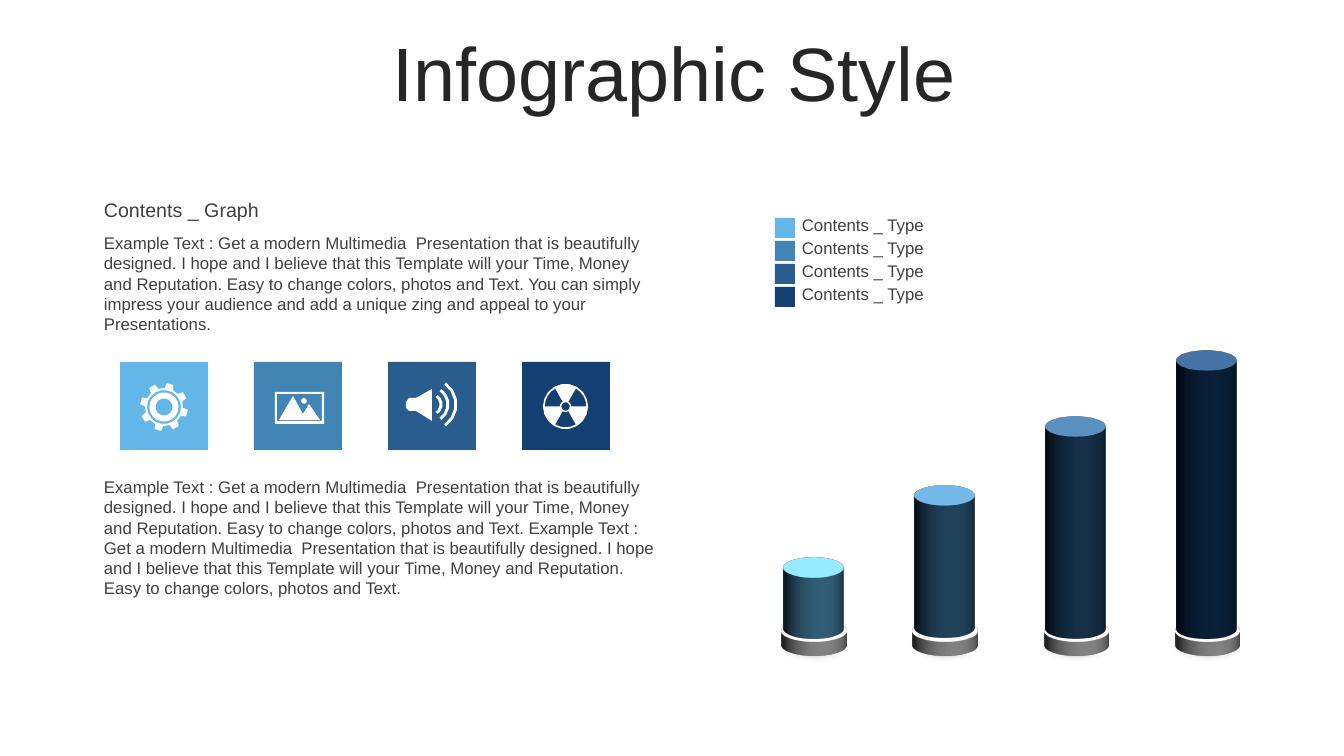
"""Build the infographic slide with four columns, four icon tiles and a legend."""
import math
import pptx
import pptx.dml.color
import pptx.enum.shapes
import pptx.enum.text
import pptx.oxml.ns
import pptx.util
from lxml import etree

PX = 9071
MSO = pptx.enum.shapes.MSO_SHAPE
ALIGN = pptx.enum.text.PP_ALIGN
ANCHOR = pptx.enum.text.MSO_ANCHOR
RGB = pptx.dml.color.RGBColor.from_string
qn = pptx.oxml.ns.qn

HUES = {
    "title": "262626", "body": "404040", "white": "FFFFFF",
    "sky": "62B7E8", "blue": "4185B5", "steel": "285D8D", "navy": "134070",
    "shade": "808080", "core": "595959",
}
TILES = ["sky", "blue", "steel", "navy"]

deck = pptx.Presentation()
deck.slide_width = 1344 * PX
deck.slide_height = 756 * PX
slide = deck.slides.add_slide(deck.slide_layouts[6])
shapes = slide.shapes


def text(words, box, size, hue="body", align=ALIGN.LEFT, anchor=ANCHOR.TOP):
    frame = shapes.add_textbox(*[n * PX for n in box]).text_frame
    frame.word_wrap = True
    frame.vertical_anchor = anchor
    para = frame.paragraphs[0]
    para.alignment = align
    run = para.add_run()
    run.text = words
    run.font.name = "Arial"
    run.font.size = pptx.util.Pt(size)
    run.font.color.rgb = RGB(HUES[hue])
    return para


def arc(x, y, r, start=0, end=360):
    steps = max(4, abs(end - start) // 20)
    turns = [math.radians(start + (end - start) * n / steps)
             for n in range(steps + 1)]
    return [(x + r * math.cos(t), y + r * math.sin(t)) for t in turns]


title = text("Infographic Style", (36, 37, 1276, 80), 54, "title",
             ALIGN.CENTER, ANCHOR.MIDDLE)
title.line_spacing = 0.9

parts = []
for n, mid in enumerate([568, 496, 427, 361]):
    left = 784 + 131 * n
    parts.append((MSO.OVAL, (left - 16, 633, 94, 31), "shade", 0, 11))
    if n:
        parts.append((MSO.OVAL, (left - 10, 633, 80, 25), "core", 0, 6))
    parts += [
        (MSO.OVAL, (left - 2, 599, 64, 64), "white", 15, 0),
        (MSO.OVAL, (left, mid - 30, 60, 60), TILES[n],
         round((628 - mid) / 0.94), 0),
    ]
for n, hue in enumerate(TILES):
    parts += [
        (MSO.RECTANGLE, (120 + 134 * n, 362, 88, 88), hue, 0, 0),
        (MSO.RECTANGLE, (775, 218 + 23 * n, 20, 20), hue, 0, 0),
    ]
    text("Contents _ Type", (792, 210 + 23 * n, 144, 30), 12,
         anchor=ANCHOR.MIDDLE)

for kind, box, hue, deep, soft in parts:
    shape = shapes.add_shape(kind, *[n * PX for n in box])
    shape.shadow.inherit = False
    shape.line.fill.background()
    shape.fill.solid()
    shape.fill.fore_color.rgb = RGB(HUES[hue])
    props = shape._element.spPr
    if soft:
        etree.SubElement(props.find(qn("a:effectLst")), qn("a:softEdge"),
                         rad=str(soft * PX))
    if deep:
        scene = etree.SubElement(props, qn("a:scene3d"))
        view = etree.SubElement(scene, qn("a:camera"), prst="orthographicFront")
        etree.SubElement(view, qn("a:rot"), lat="17390000", lon="0", rev="0")
        etree.SubElement(scene, qn("a:lightRig"), rig="threePt", dir="t")
        etree.SubElement(props, qn("a:sp3d"), extrusionH=str(deep * PX))

intro = ("Example Text : Get a modern Multimedia  Presentation that is "
         "beautifully designed. I hope and I believe that this Template will "
         "your Time, Money and Reputation. Easy to change colors, photos and "
         "Text.")
text("Contents _ Graph", (94, 193, 578, 34), 14)
text(intro + " You can simply impress your audience and add a unique zing and "
     "appeal to your Presentations.", (94, 228, 578, 112), 12)
text(intro + " " + intro, (94, 472, 578, 132), 12)

teeth = []
for n in range(8):
    for r, turn in [(19, -13), (24, -8), (24, 8), (19, 13)]:
        t = math.radians(45 * n - 75 + turn)
        teeth.append((164 + r * math.cos(t), 407 + r * math.sin(t)))
gear = [teeth] + [arc(164, 407, r) for r in (17, 14.6, 8.5)]

photo = [
    [(275, 392), (324, 392), (324, 424), (275, 424)],
    [(277, 394), (322, 394), (322, 421), (277, 421)],
    [(293, 396), (303, 414), (309, 404), (320, 420), (279, 420)],
    arc(304, 401, 2.8),
]

sound = [[(432, 389), (432, 421), (416, 411), (409, 411), (406, 408),
          (406, 402), (409, 398), (416, 398)]]
for r in (12, 19, 27):
    sound.append(arc(430.5, 404.5, r, -55, 55)
                 + arc(430.5, 404.5, r - 3, 55, -55))

atom = [arc(565.5, 406.5, 22.6), arc(565.5, 406.5, 4.2)]
for mid in (90, 210, 330):
    atom.append(arc(565.5, 406.5, 20.8, mid - 30, mid + 30)
                + arc(565.5, 406.5, 5.6, mid + 30, mid - 30))

for icon in (sound, atom, photo, gear):
    pen = None
    for line in icon:
        dots = [(round(x * 10), round(y * 10)) for x, y in line]
        if pen is None:
            pen = shapes.build_freeform(*dots[0], scale=PX / 10)
        else:
            pen.move_to(*dots[0])
        pen.add_line_segments(dots[1:], close=True)
    shape = pen.convert_to_shape()
    shape.shadow.inherit = False
    shape.fill.solid()
    shape.fill.fore_color.rgb = RGB(HUES["white"])
    shape.line.fill.background()

deck.save("out.pptx")
